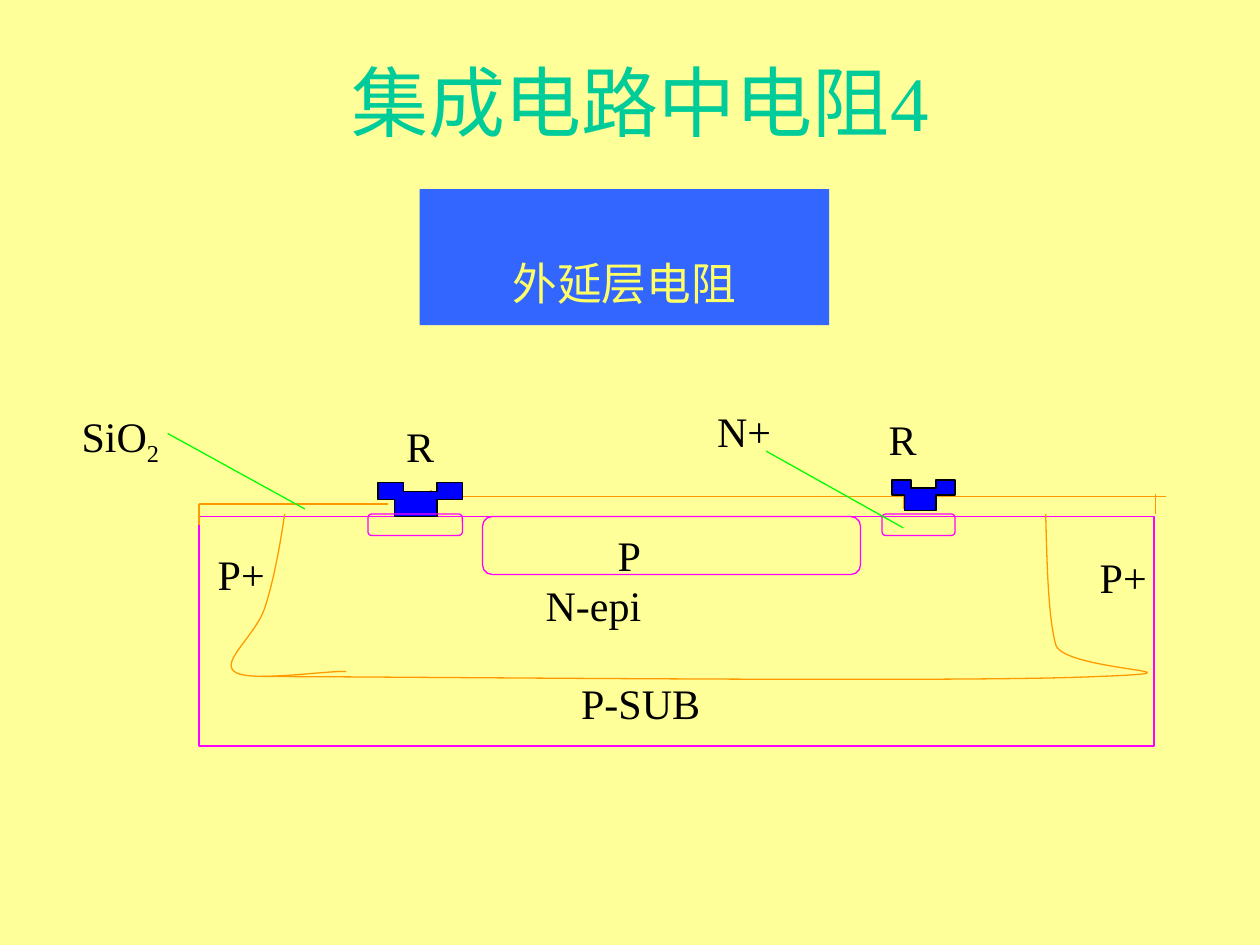
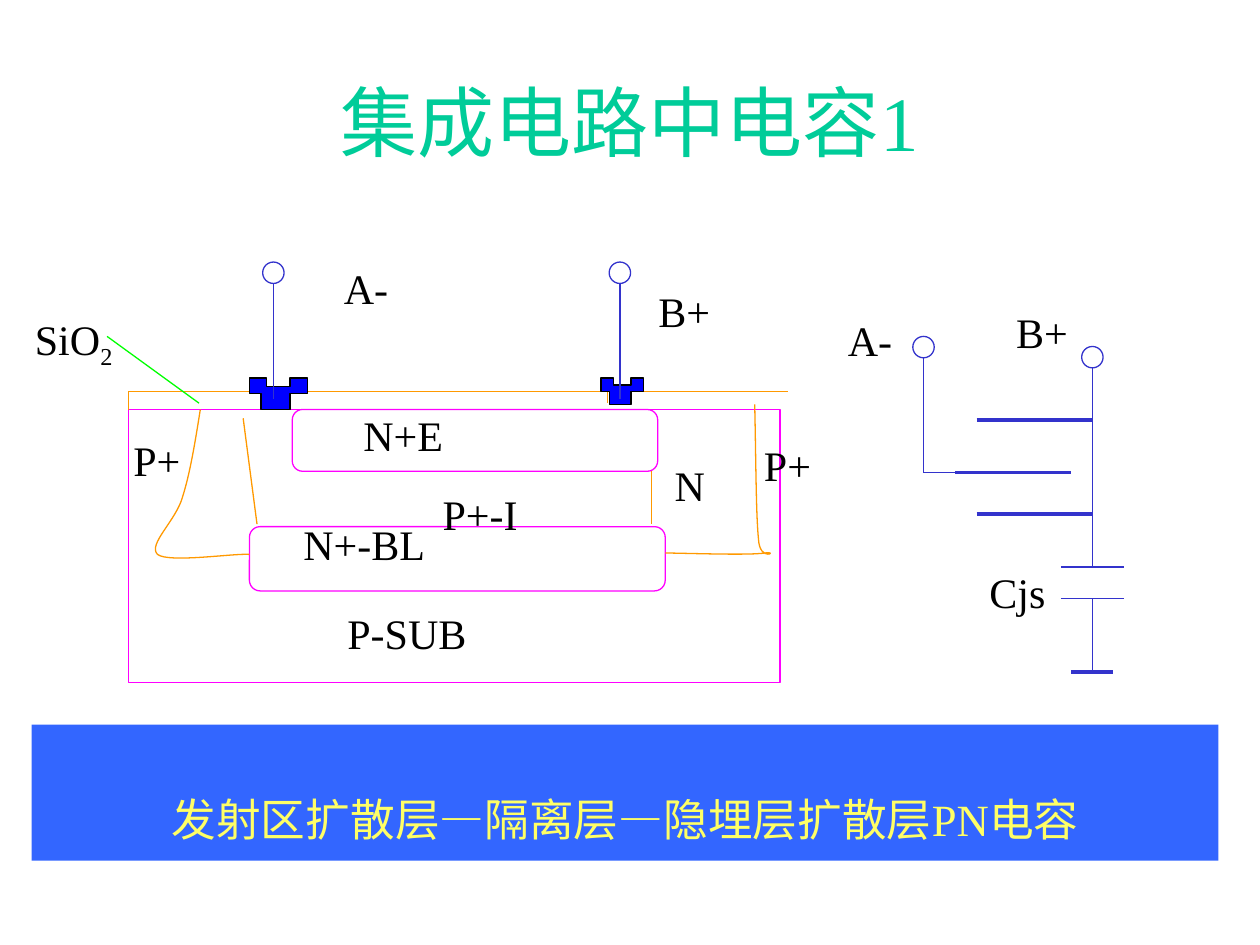
from dataclasses import dataclass

from lxml import etree
from pptx import Presentation
from pptx.dml.color import RGBColor
from pptx.enum.shapes import MSO_CONNECTOR, MSO_SHAPE
from pptx.enum.text import MSO_ANCHOR, PP_ALIGN
from pptx.oxml.ns import qn
from pptx.util import Cm, Pt

STRAIGHT = MSO_CONNECTOR.STRAIGHT
RECTANGLE = MSO_SHAPE.RECTANGLE
ROUNDED = MSO_SHAPE.ROUNDED_RECTANGLE
ELLIPSE = MSO_SHAPE.OVAL
MIDDLE = MSO_ANCHOR.MIDDLE
CENTER = PP_ALIGN.CENTER
GRID_CM = 2.54  # one drawing unit
LETTER_WIDTH = 0.22  # room for one label letter, in drawing units


@dataclass(frozen=True)
class Theme:
    font: str = "Times New Roman"
    title_size: float = 44
    label_size: float = 24
    thin: float = 0.75
    thick: float = 2.25
    title: str = "00CC99"
    banner: str = "3366FF"
    banner_text: str = "FFFF66"
    text: str = "000000"
    region: str = "FF00FF"
    oxide: str = "FF9900"
    metal: str = "0000FF"
    leader: str = "00FF00"
    wire: str = "3333CC"
    cream: str = "FFFF99"
    white: str = "FFFFFF"


THEME = Theme()


def grid(value):
    return Cm(value * GRID_CM)


def rgb(value):
    return RGBColor.from_string(value)


def add_run(paragraph, text, size, color, baseline=0):
    run = paragraph.add_run()
    run.text = text
    run.font.name = THEME.font
    run.font.size = Pt(size)
    run.font.color.rgb = rgb(color)
    if baseline:
        run._r.get_or_add_rPr().set("baseline", str(baseline * 1000))


def bend(shape):
    """Turn every three straight segments of a freeform into one Bezier segment."""
    outline = next(shape._element.iter(qn("a:path")))
    segments = outline.findall(qn("a:lnTo"))
    for first in range(0, len(segments), 3):
        curve = etree.SubElement(outline, qn("a:cubicBezTo"))
        for segment in segments[first:first + 3]:
            curve.append(segment[0])
            outline.remove(segment)


class Region:
    """Draws parts in grid units measured from its own top left corner."""

    def __init__(self, slide, left, top):
        self.shapes = slide.shapes
        self.left, self.top = left, top

    def point(self, x, y):
        return grid(self.left + x), grid(self.top + y)

    def box(self, kind, x, y, width, height, line=None, fill=None):
        shape = self.shapes.add_shape(kind, *self.point(x, y), grid(width), grid(height))
        self.paint(shape, line, fill)
        return shape

    def paint(self, shape, line, fill):
        shape.shadow.inherit = False
        if fill:
            shape.fill.solid()
            shape.fill.fore_color.rgb = rgb(fill)
        else:
            shape.fill.background()
        if line:
            shape.line.color.rgb = rgb(line)
            shape.line.width = Pt(THEME.thin)
        else:
            shape.line.fill.background()

    def line(self, x1, y1, x2, y2, color, width=THEME.thin):
        connector = self.shapes.add_connector(STRAIGHT, *self.point(x1, y1), *self.point(x2, y2))
        connector.line.color.rgb = rgb(color)
        connector.line.width = Pt(width)
        etree.SubElement(connector._element.spPr, qn("a:effectLst"))

    def outline(self, points, line, fill=None, close=False):
        placed = [self.point(x, y) for x, y in points]
        builder = self.shapes.build_freeform(*placed[0])
        builder.add_line_segments(placed[1:], close=close)
        shape = builder.convert_to_shape()
        self.paint(shape, line, fill)
        return shape

    def curve(self, start, *segments):
        """Each segment holds two control points and an end point, as six numbers."""
        points = [start]
        for segment in segments:
            points += zip(segment[::2], segment[1::2])
        bend(self.outline(points, THEME.oxide))

    def rounded(self, x, y, width, height):
        self.box(ROUNDED, x, y, width, height, THEME.region)

    def contact(self, x, y, width, height):
        """Metal contact: two shoulders over a narrower foot."""
        profile = [(0, 0.5), (0, 0), (0.3, 0), (0.3, 0.27), (0.7, 0.27), (0.7, 0),
                   (1, 0), (1, 0.5), (0.7, 0.5), (0.7, 1), (0.2, 1), (0.2, 0.5)]
        self.outline([(x + u * width, y + v * height) for u, v in profile],
                     THEME.text, THEME.metal, close=True)

    def label(self, text, x, y, width, height, subscript="",
              size=THEME.label_size, color=THEME.text):
        """Centre text on the given box, widened if the letters need more room."""
        room = max(width, LETTER_WIDTH * len(text + subscript))
        left = x - (room - width) / 2
        frame = self.shapes.add_textbox(*self.point(left, y), grid(room), grid(height)).text_frame
        frame.word_wrap = False
        frame.margin_left = frame.margin_right = 0
        frame.vertical_anchor = MIDDLE
        paragraph = frame.paragraphs[0]
        paragraph.alignment = CENTER
        add_run(paragraph, text, size, color)
        if subscript:
            add_run(paragraph, subscript, size, color, -25)

    def labels(self, rows):
        for row in rows:
            self.label(*row)

    def oxide(self, rows):
        for row in rows:
            self.line(*row, THEME.oxide)

    def terminal(self, x, y, length):
        """Open circle with a wire hanging from it."""
        diameter = 0.17
        start = y + diameter
        self.line(x, start, x, start + length, THEME.wire)
        self.box(ELLIPSE, x - diameter / 2, y, diameter, diameter, THEME.wire)


def add_slide(presentation, background, title, left, top):
    slide = presentation.slides.add_slide(presentation.slide_layouts[6])
    slide.background.fill.solid()
    slide.background.fill.fore_color.rgb = rgb(background)
    Region(slide, left, top).label(title, 0, 0, 8.5, 1.25,
                                   size=THEME.title_size, color=THEME.title)
    return slide


def add_banner(slide, text, left, top, width):
    banner = Region(slide, left, top).box(RECTANGLE, 0, 0, width, 1.08, fill=THEME.banner)
    frame = banner.text_frame
    frame.word_wrap = False
    frame.vertical_anchor = MIDDLE
    frame.paragraphs[0].alignment = CENTER
    add_run(frame.paragraphs[0], text, THEME.title_size, THEME.banner_text, -25)


def draw_resistor_section(slide, left, top):
    section = Region(slide, left, top)
    section.box(RECTANGLE, 0, 0, 7.58, 1.82, THEME.region)
    section.rounded(2.25, 0, 3, 0.46)
    section.curve((0.68, -0.02), (0.64, 0.25, 0.59, 0.52, 0.52, 0.73),
                  (0.45, 0.94, 0.17, 1.15, 0.28, 1.23),
                  (0.39, 1.32, 1.02, 1.22, 1.17, 1.23))
    section.oxide([
        (7.59, -0.02, 7.59, -0.18), (0, -0.1, 1.5, -0.1), (0, 0.07, 0, -0.1),
        (1.59, -0.21, 1.59, 0), (1.84, -0.21, 1.84, 0),
        (1.84, -0.16, 5.59, -0.16), (5.59, -0.16, 5.59, -0.06),
        (5.84, -0.06, 5.84, -0.16), (5.84, -0.16, 7.67, -0.16),
    ])
    section.contact(1.42, -0.27, 0.67, 0.27)
    section.contact(5.5, -0.29, 0.5, 0.24)
    section.rounded(1.34, -0.02, 0.75, 0.17)
    section.rounded(5.42, -0.02, 0.58, 0.17)
    section.line(-0.25, -0.66, 0.84, -0.06, THEME.leader)
    section.line(4.5, -0.52, 5.59, 0.09, THEME.leader)
    section.curve((6.72, -0.02), (6.73, 0.39, 6.74, 0.8, 6.8, 1.02),
                  (6.87, 1.23, 8.17, 1.23, 7.12, 1.27),
                  (6.07, 1.32, 1.61, 1.27, 0.5, 1.27))
    section.labels([
        ("SiO", -1, -0.77, 0.75, 0.31, "2"),
        ("R", 1.59, -0.72, 0.33, 0.31),
        ("R", 5.42, -0.77, 0.33, 0.3),
        ("N+", 4.01, -0.93, 0.63, 0.5),
        ("P+", 0.17, 0.3, 0.33, 0.31),
        ("P+", 7.17, 0.32, 0.33, 0.31),
        ("P", 3.25, 0.15, 0.33, 0.31),
        ("N-epi", 2.59, 0.55, 1.08, 0.3),
        ("P-SUB", 2.67, 1.32, 1.67, 0.31),
    ])


def draw_capacitor_section(slide, left, top):
    section = Region(slide, left, top)
    section.box(RECTANGLE, 0, 0, 5.17, 2.17, THEME.region)
    section.rounded(0.96, 0.93, 3.3, 0.51)
    section.rounded(1.3, 0, 2.9, 0.49)
    section.curve((0.57, 0), (0.53, 0.25, 0.49, 0.5, 0.43, 0.69),
                  (0.38, 0.88, 0.15, 1.07, 0.23, 1.15),
                  (0.32, 1.22, 0.84, 1.14, 0.96, 1.15))
    section.oxide([
        (0, 0, 0, -0.14), (0, -0.14, 1.02, -0.14),
        (1.08, -0.18, 1.08, 0), (1.25, -0.18, 1.25, 0),
        (1.25, -0.14, 3.8, -0.14), (3.8, -0.14, 3.8, -0.05),
        (3.97, -0.05, 3.97, -0.14), (3.97, -0.14, 5.23, -0.14),
        (0.91, 0.07, 1.02, 0.91), (4.15, 0.49, 4.15, 0.91),
    ])
    section.line(-0.17, -0.58, 0.56, -0.05, THEME.leader)
    section.curve((4.97, -0.04), (4.98, 0.4, 4.98, 0.83, 5, 1.03),
                  (5.01, 1.22, 5.17, 1.12, 5.05, 1.14),
                  (4.92, 1.16, 4.39, 1.14, 4.26, 1.14))
    section.contact(0.96, -0.25, 0.46, 0.25)
    section.contact(3.75, -0.25, 0.34, 0.21)
    for x in (1.15, 3.9):
        section.terminal(x, -1.17, 0.92)
    section.labels([
        ("SiO", -0.69, -0.67, 0.51, 0.27, "2"),
        ("A-", 1.56, -1.25, 0.65, 0.56),
        ("B+", 4.06, -1, 0.7, 0.43),
        ("P+", 0.11, 0.26, 0.23, 0.27),
        ("P+", 5.06, 0.28, 0.34, 0.31),
        ("N", 4.2, 0.28, 0.51, 0.63),
        ("N+E", 1.81, 0.07, 0.74, 0.26),
        ("P+-I", 2.4, 0.58, 0.78, 0.5),
        ("N+-BL", 1.53, 0.93, 0.68, 0.27),
        ("P-SUB", 1.64, 1.64, 1.14, 0.27),
    ])


def draw_equivalent_circuit(slide, left, top):
    circuit = Region(slide, left, top)
    a_wire, b_wire = 0.08, 1.42
    circuit.terminal(a_wire, 0, 0.91)
    circuit.terminal(b_wire, 0.08, 1.58)
    circuit.line(a_wire, 1.08, 0.58, 1.08, THEME.wire)
    for y in (1.83, 2.08):
        circuit.line(b_wire - 0.25, y, b_wire + 0.25, y, THEME.wire)
    circuit.line(b_wire, 2.08, b_wire, 2.66, THEME.wire)
    for x1, x2, y in ((0.5, b_wire, 0.66), (0.33, 1.25, 1.08),
                      (0.5, b_wire, 1.41), (1.25, 1.58, 2.66)):
        circuit.line(x1, y, x2, y, THEME.wire, THEME.thick)
    circuit.labels([
        ("A-", -0.67, -0.25, 0.65, 0.56),
        ("B+", 0.67, -0.25, 0.7, 0.43),
        ("Cjs", 0.5, 1.75, 0.65, 0.56),
    ])


def main():
    presentation = Presentation()
    presentation.slide_width, presentation.slide_height = Cm(25.4), Cm(19.05)

    resistor = add_slide(presentation, THEME.cream, "集成电路中电阻4", 0.83, 0.17)
    add_banner(resistor, "外延层电阻", 3.33, 1.5, 3.25)
    draw_resistor_section(resistor, 1.58, 4.1)

    capacitor = add_slide(presentation, THEME.white, "集成电路中电容1", 0.75, 0.33)
    draw_capacitor_section(capacitor, 1.02, 3.25)
    draw_equivalent_circuit(capacitor, 7.25, 2.67)
    add_banner(capacitor, "发射区扩散层—隔离层—隐埋层扩散层PN电容", 0.25, 5.75, 9.42)

    presentation.save("out.pptx")


if __name__ == "__main__":
    main()
